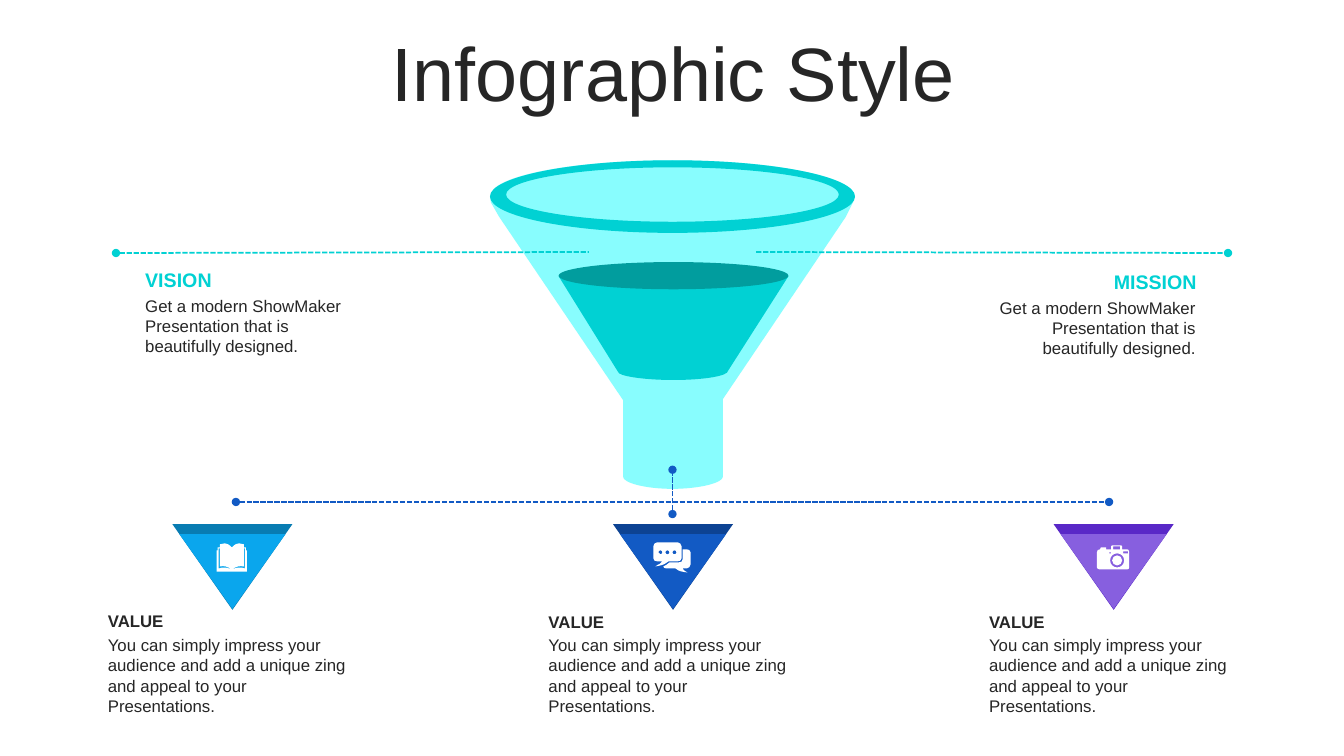
from lxml import etree
from pptx import Presentation
from pptx.dml.color import RGBColor
from pptx.enum.dml import MSO_LINE
from pptx.enum.shapes import MSO_CONNECTOR, MSO_SHAPE
from pptx.enum.text import MSO_ANCHOR, MSO_AUTO_SIZE, PP_ALIGN
from pptx.oxml.ns import qn
from pptx.util import Inches, Pt

TRIANGLE = MSO_SHAPE.ISOSCELES_TRIANGLE
ELLIPSE = MSO_SHAPE.OVAL
STRAIGHT = MSO_CONNECTOR.STRAIGHT
DASH = MSO_LINE.SQUARE_DOT
LEFT, CENTER, RIGHT = PP_ALIGN.LEFT, PP_ALIGN.CENTER, PP_ALIGN.RIGHT
MIDDLE = MSO_ANCHOR.MIDDLE
FIT_SHAPE = MSO_AUTO_SIZE.SHAPE_TO_FIT_TEXT
FONT, DARK, WHITE = "Arial", "262626", "FFFFFF"
TEAL, PALE, DEEP, BLUE = "01D1D3", "88FDFE", "019D9E", "125AC4"
ROUNDNESS = 0.55

presentation = Presentation()
presentation.slide_width = Inches(13.33)
presentation.slide_height = Inches(7.5)
slide = presentation.slides.add_slide(presentation.slide_layouts[6])
shapes = slide.shapes


def paint(shape, color):
    shape.shadow.inherit = False
    shape.fill.solid()
    shape.fill.fore_color.rgb = RGBColor.from_string(color)
    shape.line.fill.background()


def draw_outline(contours, color):
    """Segments hold 2 numbers for a corner, 4 for an ellipse, 6 for a curve."""
    builder = None
    sizes = []
    for contour in contours:
        if len(contour[0]) == 4:
            x, y, rx, ry = contour[0]
            contour = [(x + rx, y)]
            for ax, ay, bx, by in [(1, 0, 0, 1), (0, 1, -1, 0), (-1, 0, 0, -1), (0, -1, 1, 0)]:
                contour.append((x + rx * (ax + ROUNDNESS * bx), y + ry * (ay + ROUNDNESS * by),
                                x + rx * (bx + ROUNDNESS * ax), y + ry * (by + ROUNDNESS * ay),
                                x + rx * bx, y + ry * by))
        sizes += [len(segment) // 2 for segment in contour[1:]]
        corners = [(Inches(segment[i]), Inches(segment[i + 1]))
                   for segment in contour for i in range(0, len(segment), 2)]
        if builder is None:
            builder = shapes.build_freeform(*corners[0], scale=1.0)
        else:
            builder.move_to(*corners[0])
        builder.add_line_segments(corners[1:], close=False)
    shape = builder.convert_to_shape()
    steps = iter(list(shape._element.iter(qn("a:lnTo"))))
    for size in sizes:
        step = next(steps)
        if size == 3:
            step.tag = qn("a:cubicBezTo")
            for _ in range(2):
                extra = next(steps)
                step.append(extra[0])
                extra.getparent().remove(extra)
    paint(shape, color)


values = [(1.07, 6.06, "087CB2", "0AA6ED"), (5.44, 6.07, "0D4393", BLUE),
          (9.81, 6.07, "5928C7", "875FDF")]
for left, top, edge, face in values:
    for inset, triangle_top, width, height, color in [
            (0.64, 5.2, 1.19, 0.85, edge), (0.71, 5.3, 1.05, 0.74, face)]:
        triangle = shapes.add_shape(TRIANGLE, Inches(left + inset), Inches(triangle_top),
                                    Inches(width), Inches(height))
        triangle.rotation = 180
        paint(triangle, color)

funnel = [
    (6.67, 1.59), (7.6, 1.59, 8.37, 1.73, 8.47, 1.91), (8.48, 1.95), (8.46, 2.01),
    (8.39, 2.15), (7.17, 3.96), (7.17, 4.73), (7.17, 4.79, 6.94, 4.85, 6.67, 4.85),
    (6.4, 4.85, 6.18, 4.79, 6.18, 4.73), (6.18, 3.97), (4.95, 2.15), (4.87, 2.01),
    (4.86, 1.95), (4.87, 1.91), (4.96, 1.73, 5.73, 1.59, 6.67, 1.59)]
draw_outline([funnel], PALE)
draw_outline([[(6.67, 1.95, 1.81, 0.36)], [(6.67, 1.93, 1.65, 0.27)]], TEAL)
liquid = [(5.54, 2.74), (7.82, 2.74), (7.22, 3.68), (7.22, 3.73, 6.98, 3.77, 6.68, 3.77),
          (6.38, 3.77, 6.13, 3.73, 6.13, 3.69), (5.54, 2.74)]
draw_outline([liquid], TEAL)
surface = shapes.add_shape(ELLIPSE, Inches(5.54), Inches(2.6), Inches(2.28), Inches(0.27))
paint(surface, DEEP)

for x1, y1, x2, y2, color, ends in [
        (2.34, 4.98, 11, 4.98, BLUE, ["headEnd", "tailEnd"]),
        (6.67, 5.1, 6.67, 4.66, BLUE, ["headEnd", "tailEnd"]),
        (1.15, 2.51, 5.84, 2.5, TEAL, ["headEnd"]),
        (7.5, 2.5, 12.18, 2.51, TEAL, ["tailEnd"])]:
    connector = shapes.add_connector(STRAIGHT, Inches(x1), Inches(y1), Inches(x2), Inches(y2))
    connector.line.color.rgb = RGBColor.from_string(color)
    connector.line.width = Pt(1.25)
    connector.line.dash_style = DASH
    for end in ends:
        etree.SubElement(connector.line._get_or_add_ln(), qn("a:" + end), type="oval")
    etree.SubElement(connector._element.spPr, qn("a:effectLst"))

half_book = [
    [(0, 5.43), (0.03, 5.4, 0.05, 5.39, 0.07, 5.39), (0.09, 5.39, 0.1, 5.39, 0.12, 5.4),
     (0.12, 5.43), (0.14, 5.43), (0.14, 5.46), (0.15, 5.46), (0.15, 5.67), (0, 5.67), (0, 5.43)],
    [(0, 5.65), (0.05, 5.63, 0.08, 5.62, 0.13, 5.64), (0.13, 5.44), (0.12, 5.44),
     (0.12, 5.62), (0.08, 5.61, 0.04, 5.62, 0, 5.65)]]
book = [[tuple(2.3 + side * n if i % 2 == 0 else n for i, n in enumerate(segment))
         for segment in contour] for side in (-1, 1) for contour in half_book]
draw_outline(book, WHITE)

front_bubble = [
    (6.52, 5.38), (6.72, 5.38), (6.74, 5.38, 6.76, 5.4, 6.76, 5.42), (6.76, 5.54),
    (6.76, 5.56, 6.74, 5.57, 6.72, 5.57), (6.63, 5.57), (6.59, 5.6, 6.57, 5.61, 6.5, 5.62),
    (6.54, 5.59, 6.55, 5.6, 6.57, 5.57), (6.52, 5.57), (6.5, 5.57, 6.48, 5.56, 6.48, 5.54),
    (6.48, 5.42), (6.48, 5.4, 6.5, 5.38, 6.52, 5.38)]
back_bubble = [
    (6.77, 5.45), (6.81, 5.45), (6.83, 5.45, 6.85, 5.46, 6.85, 5.48), (6.85, 5.6),
    (6.85, 5.62, 6.83, 5.64, 6.81, 5.64), (6.77, 5.64), (6.78, 5.65, 6.78, 5.66, 6.82, 5.68),
    (6.75, 5.67, 6.74, 5.67, 6.7, 5.64), (6.61, 5.64), (6.59, 5.64, 6.58, 5.63, 6.58, 5.62),
    (6.6, 5.61, 6.62, 5.6, 6.64, 5.58), (6.73, 5.58), (6.76, 5.58, 6.77, 5.57, 6.77, 5.55),
    (6.77, 5.45)]
dots = [[(x, 5.48, 0.02, 0.02)] for x in (6.55, 6.62, 6.69)]
draw_outline([front_bubble, back_bubble] + dots, WHITE)

camera_body = [
    (11.03, 5.41), (11.12, 5.41), (11.13, 5.42), (11.13, 5.45), (11.18, 5.45),
    (11.19, 5.45, 11.2, 5.46, 11.2, 5.48), (11.2, 5.63), (11.2, 5.64, 11.19, 5.65, 11.18, 5.65),
    (10.91, 5.65), (10.89, 5.65, 10.88, 5.64, 10.88, 5.63), (10.88, 5.48),
    (10.88, 5.46, 10.89, 5.45, 10.91, 5.45), (10.92, 5.43), (10.97, 5.43), (10.97, 5.45),
    (11.02, 5.45), (11.02, 5.42), (11.03, 5.41)]
windows = [[(x1, y1), (x2, y1), (x2, y2), (x1, y2), (x1, y1)] for x1, y1, x2, y2 in [
    (11.04, 5.42, 11.11, 5.45), (11.14, 5.47, 11.19, 5.49), (11, 5.48, 11.02, 5.49)]]
lens = [[(11.08, 5.56, radius, radius)] for radius in (0.07, 0.05)]
draw_outline([camera_body] + windows + lens, WHITE)

pitch = "Get a modern ShowMaker Presentation that is beautifully designed."
benefit = ("You can simply impress your audience and add a unique zing "
           "and appeal to your Presentations.")
texts = [
    ("VISION", 1.44, 2.66, 2.1, 0.24, 14, TEAL, True, LEFT),
    (pitch, 1.44, 2.93, 2.09, 0.61, 12, DARK, False, LEFT),
    ("MISSION", 9.81, 2.68, 2.06, 0.24, 14, TEAL, True, RIGHT),
    (pitch, 9.81, 2.95, 2.05, 0.61, 12, DARK, False, RIGHT),
    ("Infographic Style", 0.35, 0.37, 12.66, 0.79, 54, DARK, False, CENTER)]
for left, top, edge, face in values:
    texts += [("VALUE", left, top, 2.47, 0.2, 12, DARK, True, LEFT),
              (benefit, left, 6.3, 2.46, 0.61, 12, DARK, False, LEFT)]
for text, left, top, width, height, size, color, bold, align in texts:
    box = shapes.add_textbox(Inches(left), Inches(top), Inches(width), Inches(height))
    frame = box.text_frame
    frame.word_wrap = True
    frame.margin_left = frame.margin_right = frame.margin_top = frame.margin_bottom = 0
    paragraph = frame.paragraphs[0]
    paragraph.text = text
    paragraph.alignment = align
    paragraph.font.name = FONT
    paragraph.font.size = Pt(size)
    paragraph.font.bold = bold
    paragraph.font.color.rgb = RGBColor.from_string(color)
    if align == CENTER:
        frame.vertical_anchor = MIDDLE
        paragraph.line_spacing = 0.9
    else:
        frame.auto_size = FIT_SHAPE

presentation.save("out.pptx")
